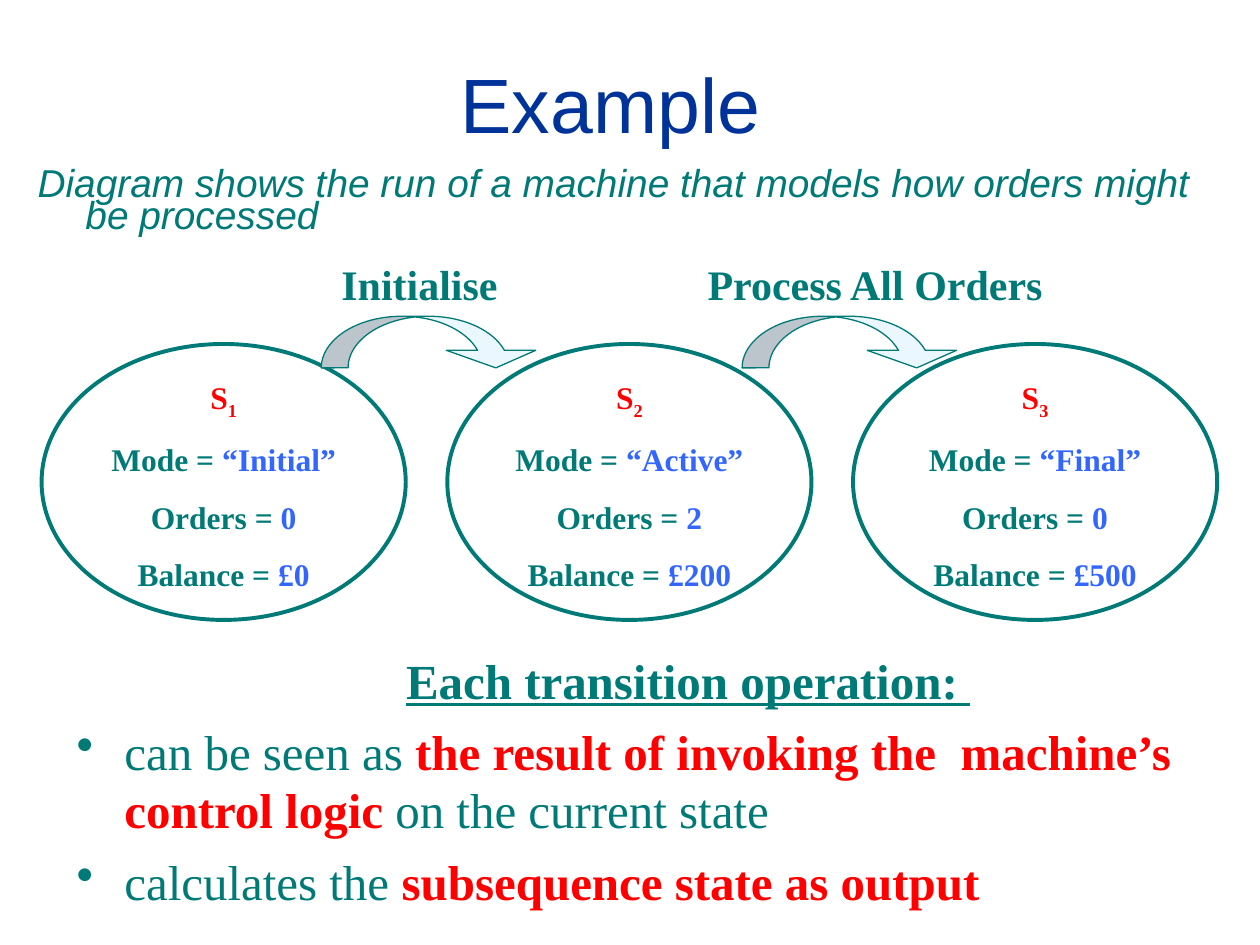
from lxml import etree
from pptx import Presentation
from pptx.dml.color import RGBColor
from pptx.enum.shapes import MSO_SHAPE
from pptx.enum.text import MSO_ANCHOR, PP_ALIGN
from pptx.oxml.ns import qn
from pptx.util import Inches, Pt

OVAL, ARROW = MSO_SHAPE.OVAL, MSO_SHAPE.CURVED_DOWN_ARROW
CENTER, LEFT = PP_ALIGN.CENTER, PP_ALIGN.LEFT
SERIF, SANS = "Times New Roman", "Arial"
COLORS = {"title": "003399", "teal": "007A77", "red": "FF0000",
          "blue": "3366FF", "pale": "EBF7FF"}


def rgb(name):
    return RGBColor.from_string(COLORS[name])


def add_text(box, paragraphs, size, font=SERIF, before=0, align=CENTER):
    """Fill a box; each paragraph is a list of (text, colour, bold) runs."""
    tf = box.text_frame
    tf.word_wrap = True
    for i, runs in enumerate(paragraphs):
        p = tf.add_paragraph() if i else tf.paragraphs[0]
        p.alignment = align
        p.space_before = Pt(before if i else 0)
        p.font.size, p.font.name = Pt(size), font
        for text, color, bold in runs:
            r = p.add_run()
            r.text = text
            r.font.color.rgb = rgb(color)
            r.font.bold = bold
    return tf


prs = Presentation()
prs.slide_width, prs.slide_height = Inches(10), Inches(7.5)
s = prs.slides.add_slide(prs.slide_layouts[5])

# Title
title = s.shapes.title
title.left, title.top = Inches(0.51), Inches(0.21)
title.width, title.height = Inches(8.67), Inches(1.21)
tf = add_text(title, [[("Example", "title", False)]], 44, SANS)
tf.vertical_anchor = MSO_ANCHOR.MIDDLE

# Introduction with a hanging indent
box = s.shapes.add_textbox(Inches(0.2), Inches(1.31), Inches(9.65), Inches(0.69))
intro = ("Diagram shows the run of a machine that models how orders "
         "might be processed")
p = add_text(box, [[(intro, "teal", False)]], 22.2, SANS, align=LEFT).paragraphs[0]
p.line_spacing = 0.7
p.font.italic = True
pPr = p._p.get_or_add_pPr()
pPr.set("marL", str(Inches(0.38)))
pPr.set("indent", str(Inches(-0.38)))

# States
states = [("“Initial”", "0", "£0"), ("“Active”", "2", "£200"),
          ("“Final”", "0", "£500")]
for i, (mode, orders, balance) in enumerate(states):
    x = 0.33 + 3.22 * i
    sp = s.shapes.add_shape(OVAL, Inches(x), Inches(2.73), Inches(2.89), Inches(2.19))
    sp.shadow.inherit = False
    sp.fill.background()
    sp.line.color.rgb = rgb("teal")
    sp.line.width = Pt(2.25)
    box = s.shapes.add_textbox(Inches(x + 0.09), Inches(2.95), Inches(2.71), Inches(1.81))
    tf = add_text(box, [
        [("S", "red", True), (str(i + 1), "red", True)],
        [("Mode = ", "teal", True), (mode, "blue", True)],
        [("Orders = ", "teal", True), (orders, "blue", True)],
        [("Balance = ", "teal", True), (balance, "blue", True)],
    ], 18, before=11.2)
    subscript = tf.paragraphs[0].runs[1]
    subscript.font._element.set("baseline", "-25000")

# Transitions: label, label left and width, arrow left
for text, x, w, arrow_x in [("Initialise", 2.11, 2.44, 2.55),
                            ("Process All Orders", 5, 3.89, 5.89)]:
    box = s.shapes.add_textbox(Inches(x), Inches(2), Inches(w), Inches(0.5))
    add_text(box, [[(text, "teal", True)]], 24)
    sp = s.shapes.add_shape(ARROW, Inches(arrow_x), Inches(2.51), Inches(1.74), Inches(0.41))
    for n, value in enumerate((0.52, 1.73, 0.34)):
        sp.adjustments[n] = value
    sp.shadow.inherit = False
    sp.fill.solid()
    sp.fill.fore_color.rgb = rgb("pale")
    sp.line.color.rgb = rgb("teal")
    sp.line.width = Pt(0.75)

# Explanation: underlined heading and two bullets
box = s.shapes.add_textbox(Inches(0.51), Inches(5.11), Inches(10), Inches(2.19))
tf = add_text(box, [
    [("Each transition operation: ", "teal", True), (" ", "teal", False)],
    [("can be seen as ", "teal", False),
     ("the result of invoking the  machine’s control logic ", "red", True),
     ("on the current state", "teal", False)],
    [("calculates the ", "teal", False),
     ("subsequence state as output", "red", True)],
], 28, before=7, align=LEFT)
heading, *bullets = tf.paragraphs
heading.alignment = CENTER
heading.runs[0].font.underline = True
for p in tf.paragraphs:
    pPr = p._p.get_or_add_pPr()
    pPr.set("marL", str(Inches(0.38)))
    pPr.set("indent", str(Inches(-0.38)))
for p in bullets:
    pPr = p._p.get_or_add_pPr()
    bullet_color = etree.Element(qn("a:buClr"))
    etree.SubElement(bullet_color, qn("a:srgbClr"), val=COLORS["teal"])
    bullet = etree.Element(qn("a:buChar"), char="•")
    default_font = pPr.find(qn("a:defRPr"))
    default_font.addprevious(bullet_color)
    default_font.addprevious(bullet)

prs.save("out.pptx")
